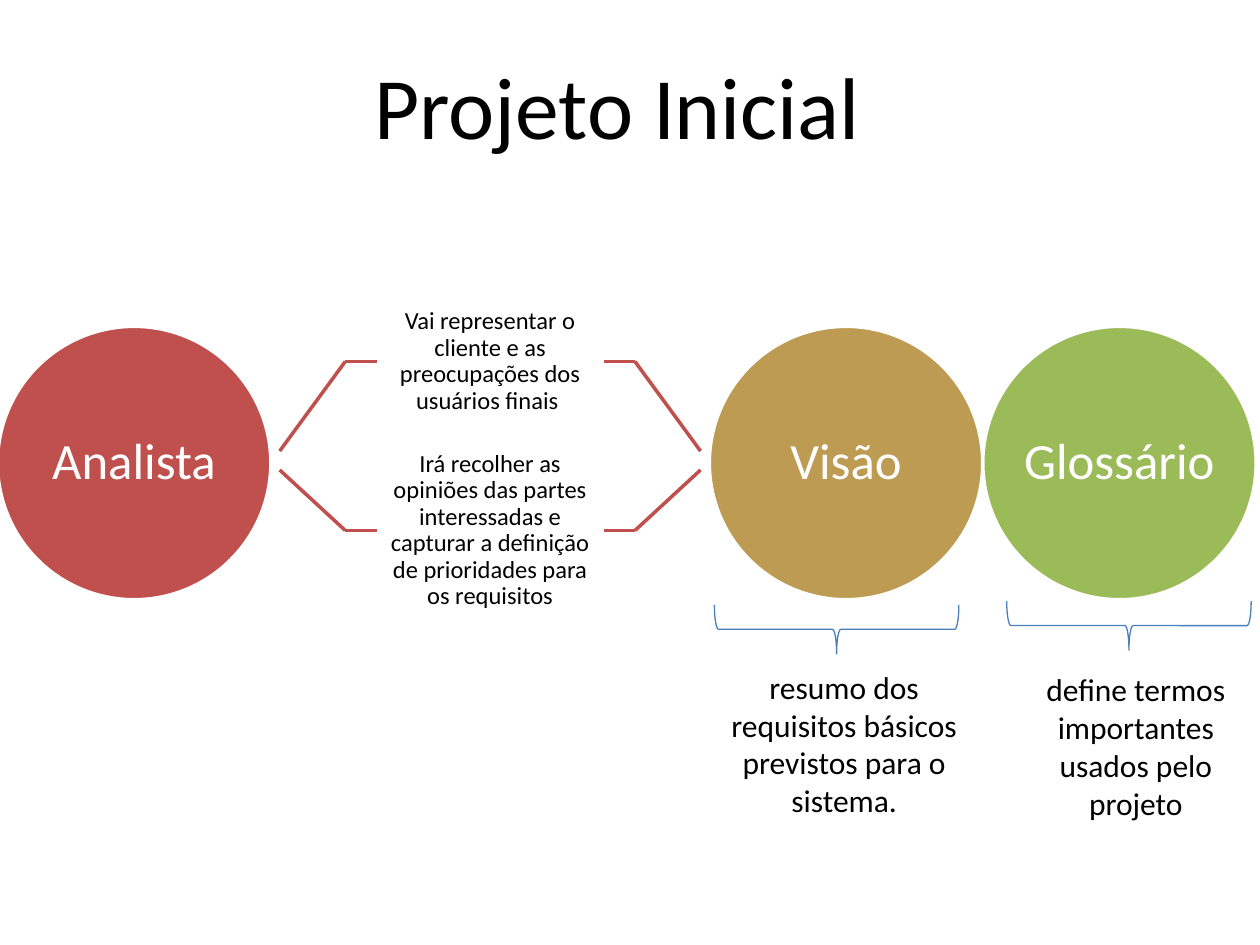
from dataclasses import dataclass

from lxml import etree
from pptx import Presentation
from pptx import util as u
from pptx.dml.color import RGBColor
from pptx.enum import shapes, text
from pptx.oxml.ns import qn


@dataclass(frozen=True)
class Theme:
    """Colours, font and type sizes of the slide."""
    font: str = "Calibri"
    black: str = "000000"
    white: str = "FFFFFF"
    red: str = "C0504D"
    gold: str = "BD9B53"
    green: str = "9BBB59"
    blue: str = "4B7EBC"
    title: float = 50
    circle: float = 29
    note: float = 18
    task: float = 14


THEME = Theme()


def inches(*lengths):
    """Turn numbers into lengths in inches."""
    return [u.Inches(length) for length in lengths]


def write(frame, words, size, colour, align=text.PP_ALIGN.CENTER, spacing=None,
          anchor=text.MSO_ANCHOR.TOP, inset=None):
    """Put one formatted paragraph into a text frame."""
    frame.word_wrap = True
    frame.vertical_anchor = anchor
    if inset is not None:
        frame.margin_left = frame.margin_right = u.Inches(inset)
        frame.margin_top = frame.margin_bottom = u.Inches(inset)
    para = frame.paragraphs[0]
    para.alignment = align
    if spacing:
        para.line_spacing = spacing
    span = para.add_run()
    span.text = words
    span.font.name = THEME.font
    span.font.size = u.Pt(size)
    span.font.color.rgb = RGBColor.from_string(colour)


def add_title(page, box, words):
    """Place and fill the title placeholder."""
    title = page.shapes.title
    title.left, title.top, title.width, title.height = inches(*box)
    write(title.text_frame, words, THEME.title, THEME.black, text.PP_ALIGN.LEFT)


def add_circle(page, box, words, colour):
    """Draw a labelled circle."""
    circle = page.shapes.add_shape(shapes.MSO_SHAPE.OVAL, *inches(*box))
    circle.shadow.inherit = False
    circle.fill.solid()
    circle.fill.fore_color.rgb = RGBColor.from_string(colour)
    circle.line.color.rgb = RGBColor.from_string(THEME.white)
    circle.line.width = u.Pt(2)
    write(circle.text_frame, words, THEME.circle, THEME.white, spacing=0.9,
          anchor=text.MSO_ANCHOR.MIDDLE, inset=0)


def add_line(page, start, end):
    """Draw a straight red line."""
    line = page.shapes.add_connector(
        shapes.MSO_CONNECTOR.STRAIGHT, *inches(*start, *end))
    line.line.color.rgb = RGBColor.from_string(THEME.red)
    line.line.width = u.Pt(2)
    etree.SubElement(line._element.spPr, qn("a:effectLst"))


def add_task(page, box, words, joint):
    """Draw a task text with a bent branch on either side."""
    left, top, width, height = box
    middle = top + height / 2
    for edge, outward in ((left, -1), (left + width, 1)):
        bend = (edge + outward * 0.25, middle)
        add_line(page, (edge, middle), bend)
        add_line(page, bend, (edge + outward * 0.77, joint))
    task = page.shapes.add_textbox(*inches(*box))
    write(task.text_frame, words, THEME.task, THEME.black, spacing=0.9,
          anchor=text.MSO_ANCHOR.MIDDLE, inset=0.11)


def add_brace(page, box):
    """Draw a downward brace that fills the box."""
    left, top, width, height = box
    brace = page.shapes.add_shape(shapes.MSO_SHAPE.RIGHT_BRACE, *inches(
        left + (width - height) / 2, top + (height - width) / 2, height, width))
    brace.rotation = 90
    brace.shadow.inherit = False
    brace.fill.background()
    brace.line.color.rgb = RGBColor.from_string(THEME.blue)
    brace.line.width = u.Pt(0.75)


def add_note(page, box, words):
    """Place an explanation below a brace."""
    note = page.shapes.add_textbox(*inches(*box))
    write(note.text_frame, words, THEME.note, THEME.black)


def build():
    """Build and save the slide."""
    deck = Presentation()
    deck.slide_width, deck.slide_height = inches(10, 7.5)
    page = deck.slides.add_slide(deck.slide_layouts[5])
    add_title(page, (2.87, 0.36, 4.09, 0.94), "Projeto Inicial")
    for left, words, colour in ((-0.02, "Analista", THEME.red),
                                (5.63, "Visão", THEME.gold),
                                (7.8, "Glossário", THEME.green)):
        add_circle(page, (left, 2.59, 2.17, 2.17), words, colour)
    for top, height, joint, words in (
            (2.33, 1.08, 3.58, "Vai representar o cliente e as preocupações "
                               "dos usuários finais\u00a0"),
            (3.41, 1.6, 3.73, "Irá recolher as opiniões das partes interessadas e "
                              "capturar a definição de prioridades para os requisitos")):
        add_task(page, (2.99, top, 1.8, height), words, joint)
    for brace_at, note_box, words in (
            ((5.67, 4.8), (5.57, 5.25, 2.26, 1.31),
             "resumo dos requisitos básicos previstos para o sistema."),
            ((7.99, 4.77), (8.15, 5.27, 1.73, 1.31),
             "define termos importantes usados pelo projeto")):
        add_brace(page, (*brace_at, 1.94, 0.39))
        add_note(page, note_box, words)
    deck.save("out.pptx")


build()
